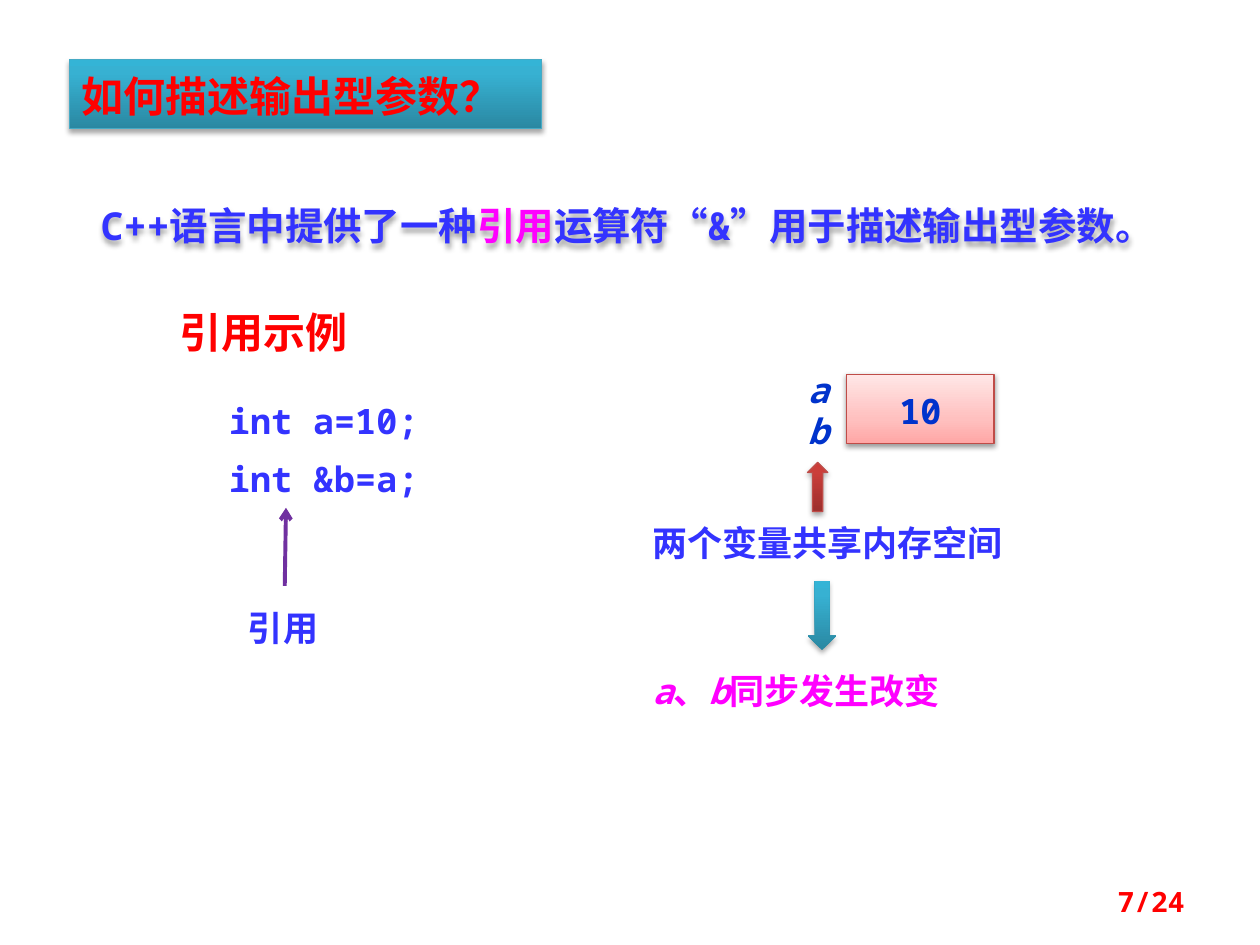
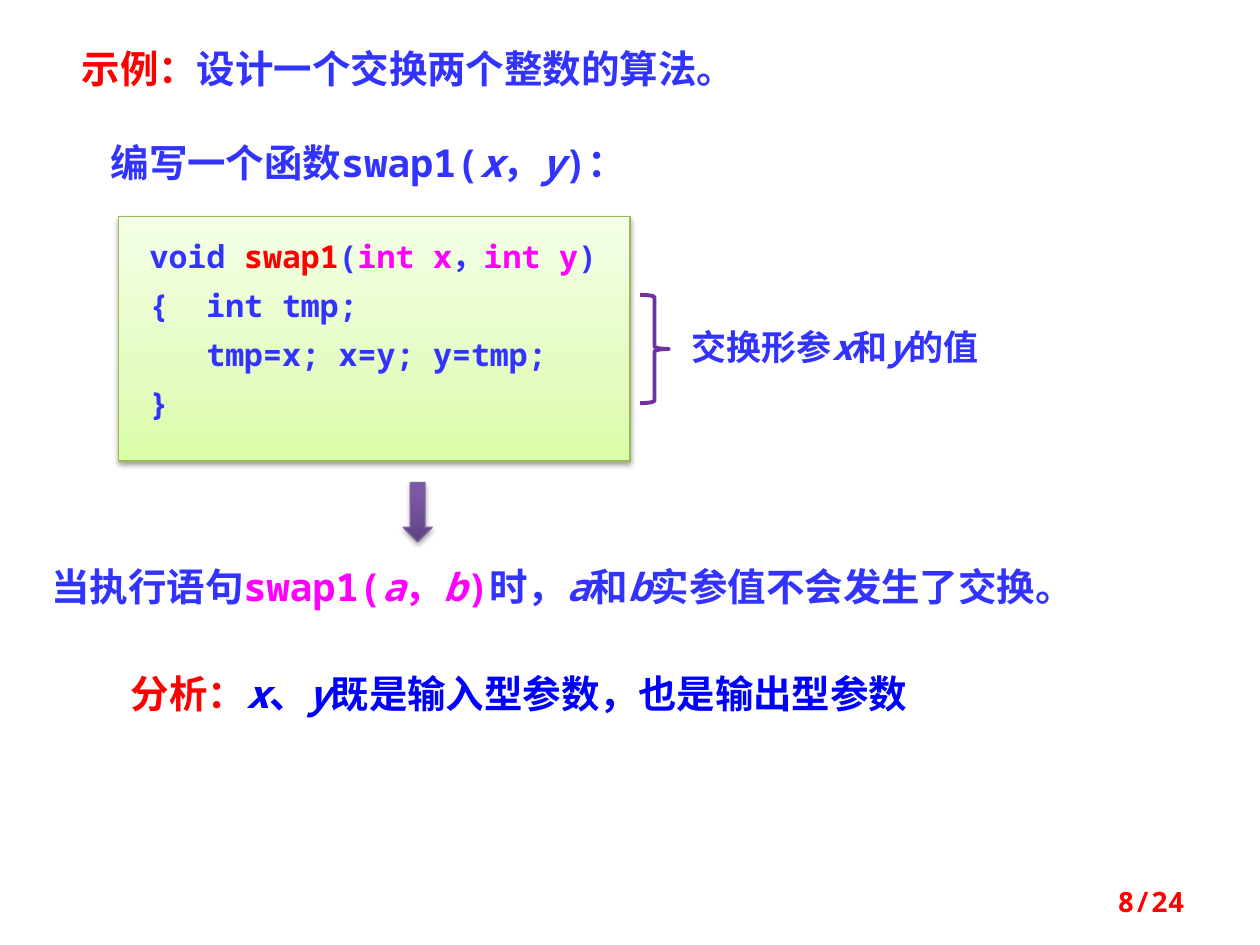
"""Build two slides on C++ references as output parameters."""
from dataclasses import dataclass
from typing import NamedTuple

from lxml import etree
from pptx import Presentation
from pptx import util as u
from pptx.dml import color as dml
from pptx.enum import shapes, text
from pptx.oxml import ns

SHAPE = shapes.MSO_SHAPE
LEFT, CENTER, RIGHT = text.PP_ALIGN.LEFT, text.PP_ALIGN.CENTER, text.PP_ALIGN.RIGHT
TOP, MIDDLE = text.MSO_ANCHOR.TOP, text.MSO_ANCHOR.MIDDLE


class Gradient(NamedTuple):
    stops: tuple
    line: str | None


class Shadow(NamedTuple):
    opacity: int
    distance: float


@dataclass(frozen=True)
class Theme:
    latin: str = "Noto Sans Mono"
    asian: str = "Noto Sans CJK SC"
    blue: str = "3333FF"
    navy: str = "0033CC"
    pure_blue: str = "0000FF"
    red: str = "FF0000"
    magenta: str = "FF00FF"
    purple: str = "7030A0"
    title: int = 24
    statement: int = 22
    body: int = 20
    code: int = 18
    footer: int = 16
    spacing: float = 1.1
    paragraph_gap: float = 6.5
    thin: float = 0.75
    thick: float = 2.25
    shadow_blur: float = 3.1
    strong: Shadow = Shadow(35, 1.8)
    soft: Shadow = Shadow(38, 1.6)
    teal: Gradient = Gradient(((0, "2A88A2"), (80, "37B1D2"), (100, "34B4D6")), "46AAC5")
    teal_bare: Gradient = Gradient(teal.stops, None)
    crimson: Gradient = Gradient(((0, "9C2F2D"), (80, "CB3E3A"), (100, "CE3B37")), "BF4C48")
    violet: Gradient = Gradient(((0, "5F4480"), (80, "7B58A6"), (100, "7C57A8")), "7D60A0")
    pink: Gradient = Gradient(((0, "FFA6A5"), (35, "FFC0BF"), (100, "FFE7E7")), "BF4C48")
    lime: Gradient = Gradient(((0, "DAFDA7"), (35, "E4FCC2"), (100, "F5FFE7")), "98B955")


THEME = Theme()


class Place(NamedTuple):
    left: float
    top: float
    width: float
    height: float

    def lengths(self) -> list:
        return [u.Inches(value) for value in self]


class Span(NamedTuple):
    words: str
    color: str = THEME.blue
    italic: bool = False


class Copy(NamedTuple):
    lines: list
    size: int = THEME.body
    align: int = LEFT
    anchor: int = TOP
    insets: tuple = (0.1, 0.05, 0.1, 0.05)
    spacing: float = THEME.spacing


def rgb(value: str) -> dml.RGBColor:
    return dml.RGBColor.from_string(value)


def child(parent, tag: str, **attributes):
    return etree.SubElement(parent, ns.qn(tag), **attributes)


def write(box, copy: Copy) -> None:
    frame = box.text_frame
    frame.word_wrap = True
    frame.vertical_anchor = copy.anchor
    (frame.margin_left, frame.margin_top,
     frame.margin_right, frame.margin_bottom) = map(u.Inches, copy.insets)
    for index, line in enumerate(copy.lines):
        para = frame.add_paragraph() if index else frame.paragraphs[0]
        para.alignment = copy.align
        para.line_spacing = copy.spacing
        if index:
            para.space_before = u.Pt(THEME.paragraph_gap)
        for span in line:
            run = para.add_run()
            run.text = span.words
            font = run.font
            font.name, font.size = THEME.latin, u.Pt(copy.size)
            font.bold, font.italic = True, span.italic
            font.color.rgb = rgb(span.color)
            child(run._r.get_or_add_rPr(), "a:ea", typeface=THEME.asian)


def cast_shadow(shape, shadow: Shadow) -> None:
    shape.shadow.inherit = False
    effects = shape._element.spPr.find(ns.qn("a:effectLst"))
    outer = child(effects, "a:outerShdw", blurRad=str(u.Pt(THEME.shadow_blur)),
                  dist=str(u.Pt(shadow.distance)), dir="5400000", rotWithShape="0")
    tint = child(outer, "a:srgbClr", val="000000")
    child(tint, "a:alpha", val=str(shadow.opacity * 1000))


def add_text(page, place: Place, copy: Copy):
    box = page.shapes.add_textbox(*place.lengths())
    write(box, copy)
    return box


def add_panel(page, kind: int, place: Place, gradient: Gradient, shadow: Shadow = THEME.strong):
    panel = page.shapes.add_shape(kind, *place.lengths())
    panel.fill.gradient()
    panel.fill.gradient_angle = 90
    stops = panel._element.spPr.find(".//" + ns.qn("a:gsLst"))
    for stop in list(stops):
        stops.remove(stop)
    for position, color in gradient.stops:
        child(child(stops, "a:gs", pos=str(position * 1000)), "a:srgbClr", val=color)
    if gradient.line:
        panel.line.color.rgb = rgb(gradient.line)
        panel.line.width = u.Pt(THEME.thin)
    else:
        panel.line.fill.background()
    cast_shadow(panel, shadow)
    return panel


def add_pointer(page, start: tuple, end: tuple) -> None:
    pointer = page.shapes.add_connector(
        shapes.MSO_CONNECTOR.STRAIGHT, *[u.Inches(value) for value in start + end])
    pointer.line.color.rgb = rgb(THEME.purple)
    pointer.line.width = u.Pt(THEME.thick)
    child(pointer.line._get_or_add_ln(), "a:tailEnd", type="arrow")
    child(pointer._element.spPr, "a:effectLst")


def add_page(deck, number: int):
    page = deck.slides.add_slide(deck.slide_layouts[6])
    add_text(page, Place(7.17, 6.95, 2.33, 0.4),
             Copy([[Span(f"{number}/24", THEME.red)]], THEME.footer, RIGHT, MIDDLE, spacing=1.0))
    return page


def build_reference_page(deck) -> None:
    page = add_page(deck, 7)
    title = add_panel(page, SHAPE.RECTANGLE, Place(0.55, 0.47, 3.75, 0.55), THEME.teal)
    write(title, Copy([[Span("如何描述输出型参数？", THEME.red)]], THEME.title))
    statement = add_text(page, Place(0.7, 1.52, 8.91, 0.51), Copy([[
        Span("C++语言中提供了一种"), Span("引用", THEME.magenta),
        Span("运算符“&”用于描述输出型参数。")]], THEME.statement))
    cast_shadow(statement, THEME.strong)
    add_text(page, Place(1.33, 2.34, 1.72, 0.55),
             Copy([[Span("引用示例", THEME.red)]], THEME.title))
    add_text(page, Place(1.72, 3.09, 1.95, 1.01),
             Copy([[Span("int a=10;")], [Span("int &b=a;")]]))
    add_pointer(page, (2.26, 4.65), (2.27, 4.03))
    add_text(page, Place(1.87, 4.73, 0.86, 0.47), Copy([[Span("引用")]]))

    memory = add_panel(page, SHAPE.RECTANGLE, Place(6.72, 2.97, 1.17, 0.55),
                       THEME.pink, THEME.soft)
    write(memory, Copy([[Span("10", THEME.navy)]], align=CENTER, anchor=MIDDLE))
    for row, variable in enumerate("ab"):
        add_text(page, Place(6.41, 2.89 + 0.33 * row, 0.23, 0.37),
                 Copy([[Span(variable, THEME.navy, True)]], insets=(0, 0, 0, 0)))
    add_panel(page, SHAPE.UP_ARROW, Place(6.41, 3.67, 0.16, 0.39), THEME.crimson)
    add_text(page, Place(5.08, 4.06, 3.52, 0.45), Copy([[Span("两个变量共享内存空间")]]))
    add_panel(page, SHAPE.DOWN_ARROW, Place(6.41, 4.61, 0.23, 0.55), THEME.teal_bare)
    add_text(page, Place(5.08, 5.23, 2.97, 0.45), Copy([[
        Span("a", THEME.magenta, True), Span("、", THEME.magenta),
        Span("b", THEME.magenta, True), Span("同步发生改变", THEME.magenta)]]))


def build_swap_page(deck) -> None:
    page = add_page(deck, 8)
    add_text(page, Place(0.55, 0.31, 7.73, 0.47), Copy([[
        Span("示例：", THEME.red), Span("设计一个交换两个整数的算法。")]],
        THEME.statement, spacing=1.0))
    add_text(page, Place(0.78, 1.02, 4.92, 0.48), Copy([[
        Span("编写一个函数swap1("), Span("x", italic=True), Span("，"),
        Span("y", italic=True), Span(")：")]], THEME.statement))

    listing = add_panel(page, SHAPE.RECTANGLE, Place(0.94, 1.72, 4.06, 1.94),
                        THEME.lime, THEME.soft)
    write(listing, Copy([
        [Span(" void "), Span("swap1", THEME.red), Span("("), Span("int x", THEME.magenta),
         Span("，"), Span("int y", THEME.magenta), Span(")")],
        [Span(" {  int tmp;")],
        [Span("    tmp=x; x=y; y=tmp;")],
        [Span(" }")]], THEME.code, insets=(0.1, 0.16, 0.1, 0.12), spacing=1.0))

    brace = page.shapes.add_shape(SHAPE.RIGHT_BRACE, *Place(5.08, 2.34, 0.23, 0.86).lengths())
    brace.shadow.inherit = False
    brace.fill.background()
    brace.line.color.rgb = rgb(THEME.purple)
    brace.line.width = u.Pt(THEME.thick)
    add_text(page, Place(5.39, 2.5, 2.66, 0.47), Copy([[
        Span("交换形参"), Span("x", italic=True), Span("和"),
        Span("y", italic=True), Span("的值")]]))

    add_panel(page, SHAPE.DOWN_ARROW, Place(3.2, 3.83, 0.23, 0.47), THEME.violet)
    add_text(page, Place(0.31, 4.38, 8.44, 0.48), Copy([[
        Span("当执行语句"), Span("swap1(", THEME.magenta), Span("a", THEME.magenta, True),
        Span("，", THEME.magenta), Span("b", THEME.magenta, True), Span(")", THEME.magenta),
        Span("时，"), Span("a", italic=True), Span("和"), Span("b", italic=True),
        Span("实参值不会发生了交换。")]], THEME.statement))
    add_text(page, Place(0.94, 5.23, 7.66, 0.48), Copy([[
        Span("分析：", THEME.red), Span("x", THEME.pure_blue, True), Span("、", THEME.pure_blue),
        Span("y", THEME.pure_blue, True),
        Span("既是输入型参数，也是输出型参数", THEME.pure_blue)]], THEME.statement))


def main() -> None:
    deck = Presentation()
    deck.slide_width, deck.slide_height = u.Inches(10), u.Inches(7.5)
    build_reference_page(deck)
    build_swap_page(deck)
    deck.save("out.pptx")


if __name__ == "__main__":
    main()
